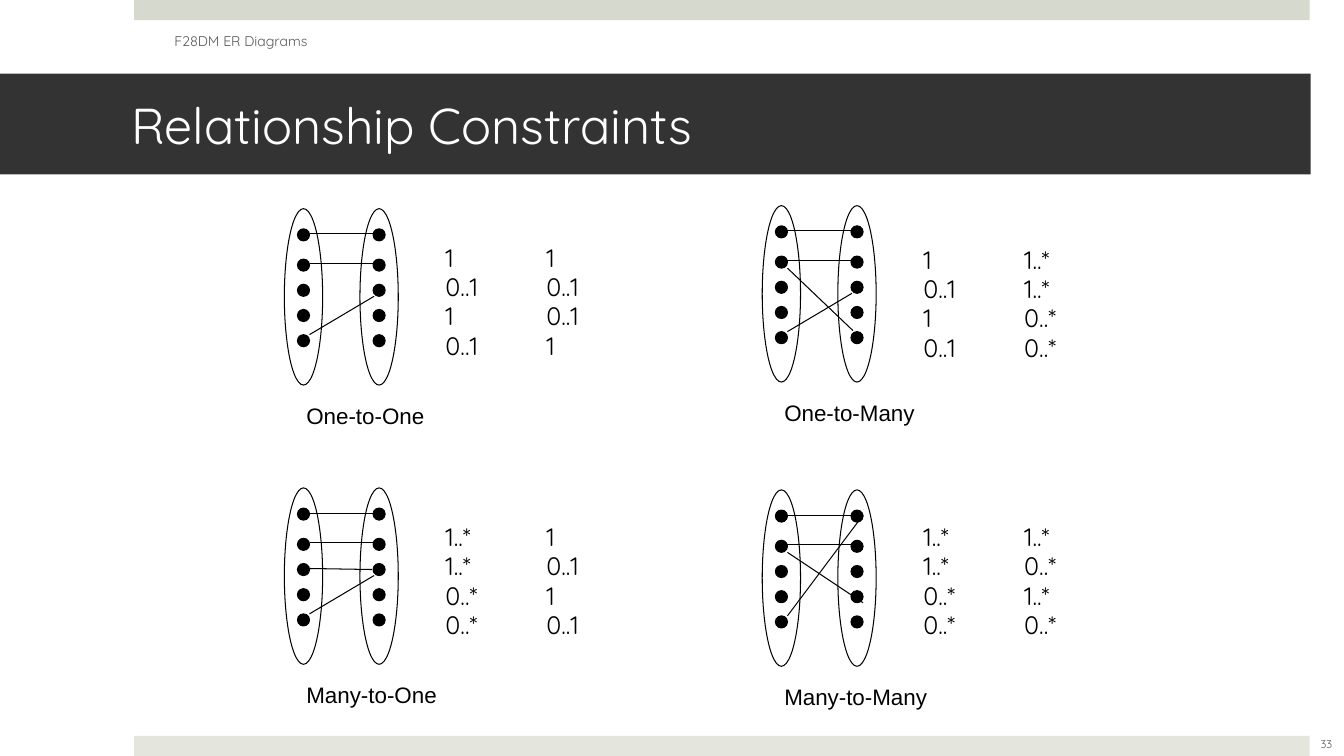
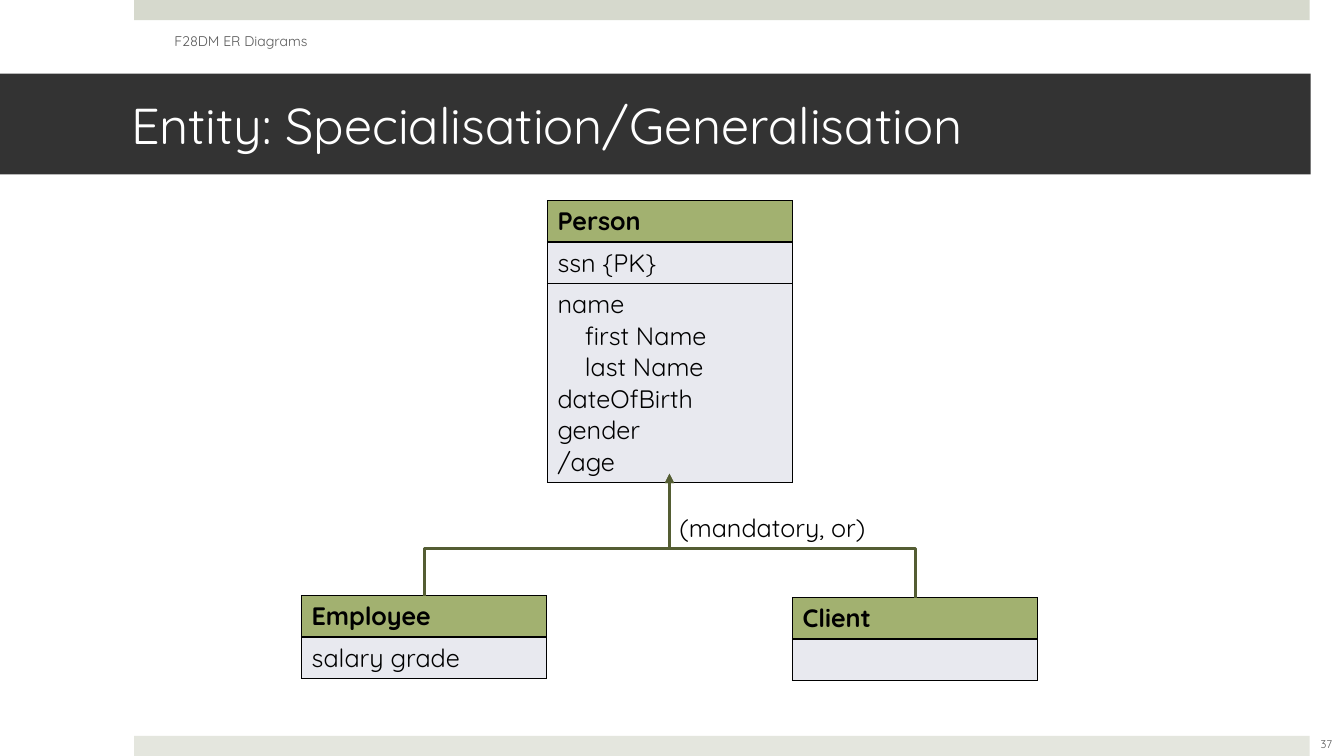
from lxml.etree import SubElement
from pptx import Presentation
from pptx.dml.color import RGBColor
from pptx.enum.shapes import MSO_CONNECTOR, MSO_SHAPE
from pptx.enum.text import MSO_ANCHOR, PP_ALIGN
from pptx.oxml import parse_xml
from pptx.oxml.ns import nsdecls, qn
from pptx.util import Inches, Pt

BLACK = RGBColor(0x00, 0x00, 0x00)
WHITE = RGBColor(0xFF, 0xFF, 0xFF)
CHARCOAL = RGBColor(0x33, 0x33, 0x33)
GREY = RGBColor(0x59, 0x59, 0x59)
TOP_BAND = RGBColor(0xD6, 0xD9, 0xCD)
BOTTOM_BAND = RGBColor(0xE4, 0xE6, 0xDE)
GREEN = RGBColor(0xA2, 0xB1, 0x70)
PALE = RGBColor(0xE8, 0xE9, 0xEF)
OLIVE = RGBColor(0x54, 0x5D, 0x33)

TITLE = {"name": "Quicksand", "size": Pt(36), "color": WHITE}
HEADER = {"name": "Quicksand", "size": Pt(10), "color": GREY}
NUMBER = {"name": "Quicksand", "size": Pt(8), "color": GREY}
BODY = {"name": "Quicksand", "size": Pt(18), "color": BLACK}
ENTITY = {**BODY, "bold": True}
CAPTION = {"name": "Arial", "size": Pt(16), "color": BLACK}

prs = Presentation()
prs.slide_width, prs.slide_height = Inches(13.33), Inches(7.5)
CELL = prs.slide_height / 75  # the slide is a grid 75 rows high


def grid(*cells):
    """Turn columns and rows of the grid into lengths."""
    return [round(CELL * n) for n in cells]


def write(tf, lines, fmt):
    """Fill a text frame, one paragraph a line, and return the paragraphs."""
    tf.word_wrap = True
    for i, line in enumerate(lines):
        p = tf.paragraphs[0] if i == 0 else tf.add_paragraph()
        r = p.add_run()
        r.text = line
        for key, value in fmt.items():
            if key == "color":
                r.font.color.rgb = value
            else:
                setattr(r.font, key, value)
    return tf.paragraphs


# Shared frame: bands, title, header and slide number
slides = []
for title, number in (("Relationship Constraints", "33"),
                      ("Entity: Specialisation/Generalisation", "37")):
    s = prs.slides.add_slide(prs.slide_layouts[6])
    slides.append(s)
    for box, color in (((13.3, 0, 116.6, 2), TOP_BAND),
                       ((13.3, 73, 116.6, 2), BOTTOM_BAND),
                       ((0, 7.3, 130, 10), CHARCOAL)):
        sp = s.shapes.add_shape(MSO_SHAPE.RECTANGLE, *grid(*box))
        sp.shadow.inherit = False
        sp.fill.solid()
        sp.fill.fore_color.rgb = color
        sp.line.fill.background()
    tf = sp.text_frame  # the last band carries the title
    tf.margin_left, tf.margin_right = grid(13, 3)
    tf.vertical_anchor = MSO_ANCHOR.MIDDLE
    write(tf, [title], TITLE)[0].alignment = PP_ALIGN.LEFT
    for box, text, fmt, align in (
            ((16.3, 2.1, 42.2, 4), "F28DM ER Diagrams", HEADER, PP_ALIGN.LEFT),
            ((128.2, 71.8, 6.7, 4), number, NUMBER, PP_ALIGN.CENTER)):
        tf = s.shapes.add_textbox(*grid(*box)).text_frame
        tf.vertical_anchor = MSO_ANCHOR.MIDDLE
        write(tf, [text], fmt)[0].alignment = align

# Slide 1: four mappings, all places relative to the mapping's corner
s = slides[0]
OVALS = [(x, 0, 3.8, 17.5) for x in (0, 7.5)]
DOTS = [(x, y, 1.2, 1.2) for x in (1.3, 8.8) for y in (2, 5, 7.5, 10, 12.5)]
FIRST = (2.5, 2.5, 8.8, 2.5)
SECOND = (2.5, 5.4, 8.8, 5.4)
RISING = (2.5, 12.5, 8.9, 8.7)
mappings = [
    ("One-to-One", 28.2, 20.7, 23.7, [FIRST, SECOND, RISING],
     ["1\t1", "0..1\t0..1", "1\t0..1", "0..1\t1"]),
    ("One-to-Many", 75.6, 20.4, 23.9,
     [FIRST, SECOND, RISING, (9, 12.4, 2.5, 6.2)],
     ["1\t1..*", "0..1\t1..*", "1\t0..*", "0..1\t0..*"]),
    ("Many-to-One", 28.2, 48.4, 51.4,
     [FIRST, SECOND, RISING, (2.5, 8, 8.7, 8.1)],
     ["1..*\t1", "1..*\t0..1", "0..*\t1", "0..*\t0..1"]),
    ("Many-to-Many", 75.6, 48.6, 51.4,
     [FIRST, SECOND, (2.5, 12.5, 10, 2.5), (2.5, 6.2, 10, 11.2)],
     ["1..*\t1..*", "1..*\t0..*", "0..*\t1..*", "0..*\t0..*"]),
]
for caption, left, top, list_top, links, pairs in mappings:
    for color, ellipses in ((WHITE, OVALS), (BLACK, DOTS)):
        for x, y, w, h in ellipses:
            sp = s.shapes.add_shape(MSO_SHAPE.OVAL, *grid(left + x, top + y, w, h))
            sp.shadow.inherit = False
            sp.fill.solid()
            sp.fill.fore_color.rgb = color
            sp.line.color.rgb = BLACK
            sp.line.width = Pt(0.75)
    for x1, y1, x2, y2 in links:
        ends = grid(left + x1, top + y1, left + x2, top + y2)
        link = s.shapes.add_connector(MSO_CONNECTOR.STRAIGHT, *ends)
        link.line.color.rgb = BLACK
        link.line.width = Pt(0.75)
    tb = s.shapes.add_textbox(*grid(left + 1.2, top + 18.7, 17.2, 2.5))
    write(tb.text_frame, [caption], CAPTION)
    tb = s.shapes.add_textbox(*grid(left + 15, list_top, 16.8, 13.1))
    for p in write(tb.text_frame, pairs, BODY):
        p.line_spacing = 0.97
        tabs = SubElement(p._p.get_or_add_pPr(), qn("a:tabLst"))
        SubElement(tabs, qn("a:tab"), pos=str(grid(10)[0]), algn="l")

# Slide 2: entity tables
s = slides[1]
TABLE_W, ROW_H = 24.3, 4.1
MIDDLE = 66.4
INDENTED = ("first Name", "last Name")
entities = [
    (29.9, 59.1, [["Employee"], ["salary grade"]], [ROW_H, ROW_H]),
    (78.6, 59.3, [["Client"], [""]], [ROW_H, ROW_H]),
    (54.3, 19.9, [["Person"], ["ssn {PK}"],
                  ["name", *INDENTED, "dateOfBirth", "gender", "/age"]],
     [ROW_H, ROW_H, 19.8]),
]
for left, top, rows, heights in entities:
    box = grid(left, top, TABLE_W, sum(heights))
    table = s.shapes.add_table(len(rows), 1, *box).table
    table.first_row = table.horz_banding = False
    for i, (lines, height) in enumerate(zip(rows, heights)):
        table.rows[i].height = grid(height)[0]
        cell = table.cell(i, 0)
        cell.fill.solid()
        cell.fill.fore_color.rgb = PALE if i else GREEN
        for p in write(cell.text_frame, lines, BODY if i else ENTITY):
            if p.text in INDENTED:
                p._p.get_or_add_pPr().set("marL", str(grid(2.7)[0]))
        tcPr = cell._tc.get_or_add_tcPr()
        for n, side in enumerate(("lnL", "lnR", "lnT", "lnB")):
            tcPr.insert(n, parse_xml(
                f'<a:{side} {nsdecls("a")} w="{Pt(1)}"><a:solidFill>'
                f'<a:srgbClr val="{BLACK}"/></a:solidFill></a:{side}>'))

# Generalisation arrows: elbows turned to leave the subtype upwards
PERSON_Y = 47
for side, x, y, bend in ((-1, 42.1, 59.1, 38700), (1, 90.8, 59.3, 40000)):
    cx, cy = (x + MIDDLE) / 2, (y + PERSON_Y) / 2
    half_w, half_h = (y - PERSON_Y) / 2, abs(x - MIDDLE) / 2
    ends = grid(cx - side * half_w, cy + half_h, cx + side * half_w, cy - half_h)
    arrow = s.shapes.add_connector(MSO_CONNECTOR.ELBOW, *ends)
    arrow.line.color.rgb = OLIVE
    arrow.line.width = Pt(2.25)
    SubElement(arrow.line._get_or_add_ln(), qn("a:tailEnd"), type="triangle")
    spPr = arrow._element.spPr
    spPr.find(qn("a:xfrm")).set("rot", str((180 + side * 90) * 60000))
    guides = spPr.find(qn("a:prstGeom")).get_or_add_avLst()
    SubElement(guides, qn("a:gd"), name="adj1", fmla=f"val {bend}")
tb = s.shapes.add_textbox(*grid(MIDDLE, 50.3, 21.5, 4))
write(tb.text_frame, ["(mandatory, or)"], BODY)

# Lines cast no shadow
for s in slides:
    for line in s.element.iter(qn("p:cxnSp")):
        SubElement(line.spPr, qn("a:effectLst"))

prs.save("out.pptx")
